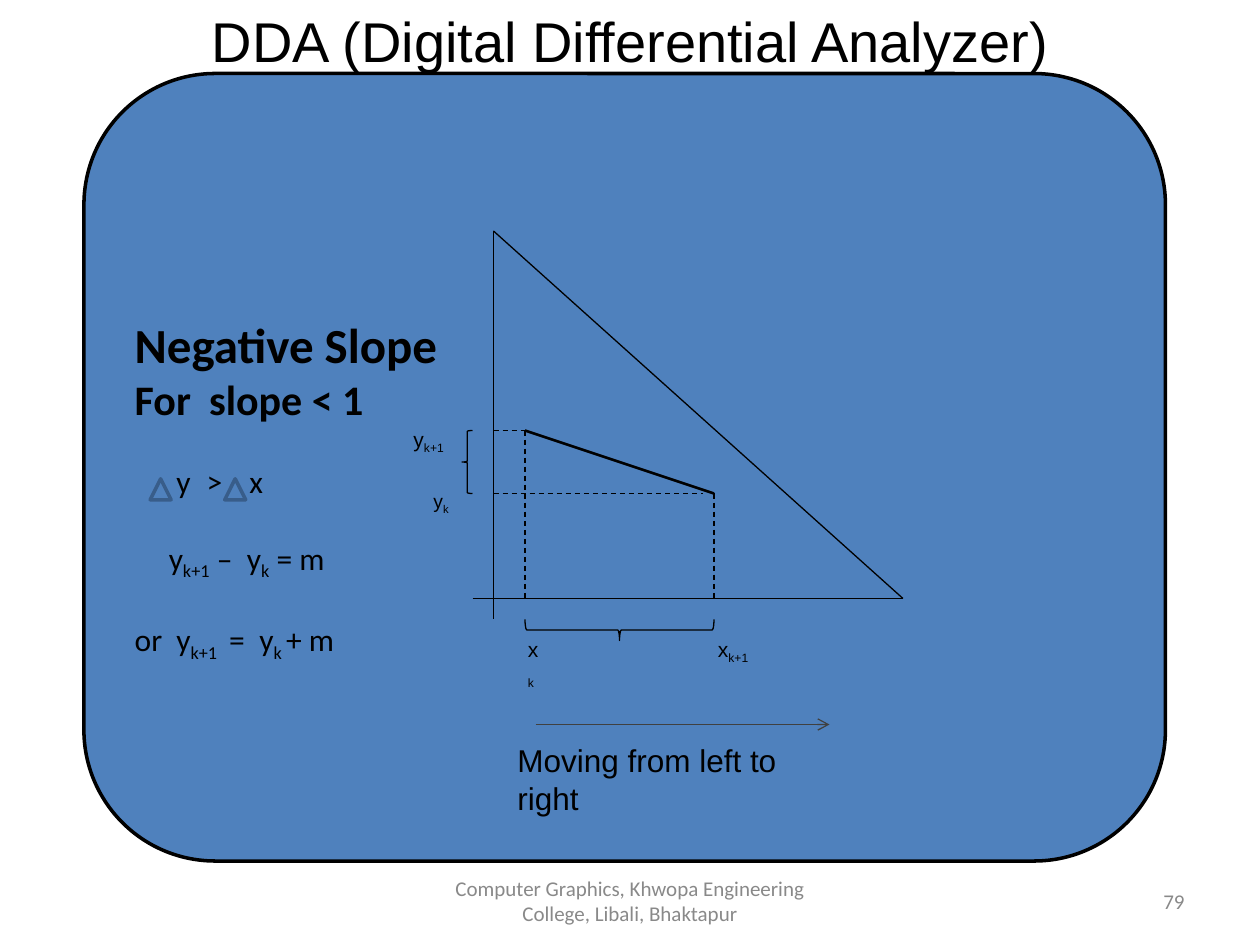
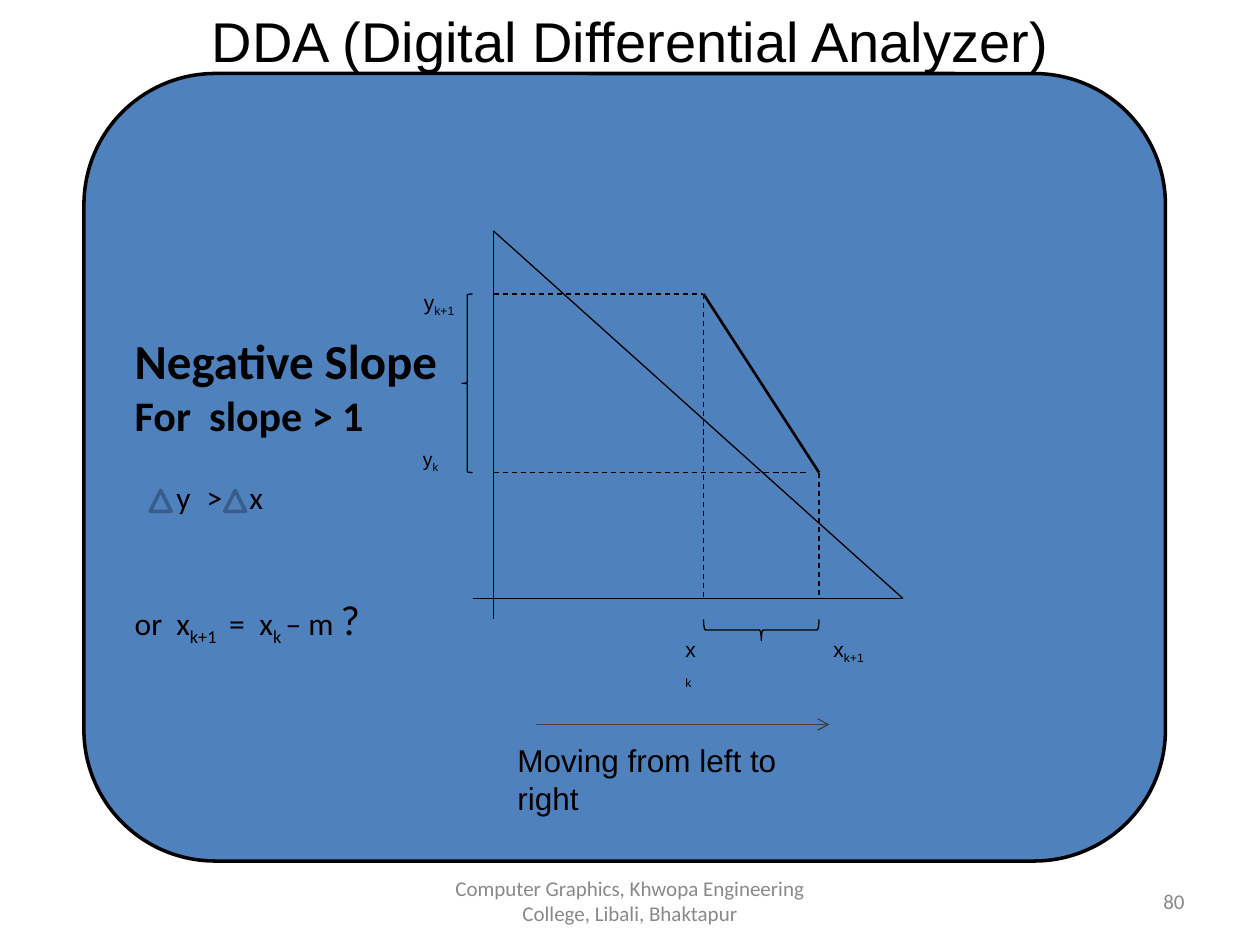
from lxml import etree
from pptx import Presentation
from pptx.dml.color import RGBColor
from pptx.enum.dml import MSO_LINE
from pptx.enum.shapes import MSO_CONNECTOR, MSO_SHAPE
from pptx.enum.text import MSO_ANCHOR, MSO_AUTO_SIZE, PP_ALIGN
from pptx.oxml.ns import qn
from pptx.util import Inches, Pt

COLORS = {"ink": "000000", "panel": "4F81BD", "delta": "385D8A",
          "arrow": "404040", "footer": "898989"}
UNITS_PER_INCH = 12
AXIS_X, AXIS_Y = 47, 57
APEX_Y, BASE_END_X = 22, 86
TITLE = "DDA (Digital Differential Analyzer)"
FOOTER = "Computer Graphics, Khwopa Engineering College, Libali, Bhaktapur"
ORDER_TABS = (0.33, 0.57, 0.91)
DIFFERENCE_TABS = (0.27, 0.89)
RESULT_TABS = (0.33, 0.75, 0.99)


def units(value):
    return Inches(value / UNITS_PER_INCH)


def color(name):
    return RGBColor.from_string(COLORS[name])


class Canvas:
    def __init__(self, deck):
        self.deck = deck
        self.page = None

    def new_page(self):
        self.page = self.deck.slides.add_slide(self.deck.slide_layouts[6])

    def stroke(self, line, ink="ink", width=0.75, dash=None):
        line.color.rgb = color(ink)
        line.width = Pt(width)
        if dash:
            line.dash_style = dash

    def shape(self, kind, place, fill=None, ink="ink", width=2, rotation=0):
        shape = self.page.shapes.add_shape(kind, *map(units, place))
        shape.shadow.inherit = False
        shape.rotation = rotation
        if fill:
            shape.fill.solid()
            shape.fill.fore_color.rgb = color(fill)
        else:
            shape.fill.background()
        self.stroke(shape.line, ink, width)
        return shape

    def line(self, start, end, ink="ink", width=0.75, dash=None, arrow=False):
        line = self.page.shapes.add_connector(
            MSO_CONNECTOR.STRAIGHT, *map(units, (*start, *end)))
        self.stroke(line.line, ink, width, dash)
        if arrow:
            outline = line._element.spPr.find(qn("a:ln"))
            etree.SubElement(outline, qn("a:tailEnd"), type="arrow")
        etree.SubElement(line._element.spPr, qn("a:effectLst"))

    def dashed(self, start, end):
        self.line(start, end, dash=MSO_LINE.DASH)

    def brace(self, center, width, height, rotation):
        place = (center[0] - width / 2, center[1] - height / 2, width, height)
        self.shape(MSO_SHAPE.RIGHT_BRACE, place, width=0.75, rotation=rotation)

    def span(self, para, text, size, font="Calibri", ink="ink", bold=False, sub=False):
        span = para.add_run()
        span.text = text
        for name, value in {"name": font, "size": Pt(size), "bold": bold}.items():
            setattr(span.font, name, value)
        span.font.color.rgb = color(ink)
        if sub:
            span._r.get_or_add_rPr().set("baseline", "-25000")

    def formula(self, para, text, size, **style):
        for index, piece in enumerate(text.split("|")):
            if piece:
                self.span(para, piece, size, sub=index % 2 == 1, **style)

    def label(self, text, place, size, font="Arial"):
        box = self.page.shapes.add_textbox(*map(units, place))
        box.text_frame.word_wrap = False
        box.text_frame.auto_size = MSO_AUTO_SIZE.SHAPE_TO_FIT_TEXT
        self.formula(box.text_frame.paragraphs[0], text, size, font=font)

    def footer(self, text, place, align):
        box = self.page.shapes.add_textbox(*map(units, place))
        for name, value in {"word_wrap": True, "vertical_anchor": MSO_ANCHOR.MIDDLE}.items():
            setattr(box.text_frame, name, value)
        para = box.text_frame.paragraphs[0]
        para.alignment = align
        self.span(para, text, 12, ink="footer")

    def panel(self, lines):
        panel = self.shape(MSO_SHAPE.ROUNDED_RECTANGLE, (8, 7, 103, 75), "panel")
        frame = panel.text_frame
        for name, value in {"word_wrap": True, "vertical_anchor": MSO_ANCHOR.MIDDLE,
                            "margin_top": Inches(0.39)}.items():
            setattr(frame, name, value)
        for index, (text, size, bold, before, tabs, ending) in enumerate(lines):
            para = frame.add_paragraph() if index else frame.paragraphs[0]
            for name, value in {"alignment": PP_ALIGN.LEFT, "space_before": Pt(before)}.items():
                setattr(para, name, value)
            if tabs:
                stops = etree.SubElement(para._p.get_or_add_pPr(), qn("a:tabLst"))
                for stop in tabs:
                    etree.SubElement(stops, qn("a:tab"), pos=str(Inches(stop)), algn="l")
            self.formula(para, text, size, bold=bold)
            if ending:
                self.span(para, ending, 24)

    def graph(self, start, end, labels):
        (x1, y1), (x2, y2) = start, end
        apex, corner = (AXIS_X, APEX_Y), (BASE_END_X, AXIS_Y)
        self.line(apex, (AXIS_X, AXIS_Y + 2))
        self.line((AXIS_X - 2, AXIS_Y), corner)
        self.line(apex, corner)
        self.line(start, end, width=1.5)
        self.dashed(start, (x1, AXIS_Y))
        self.dashed(end, (x2, AXIS_Y))
        self.dashed((AXIS_X, y2), (x2 - 1, y2))
        self.dashed((AXIS_X, y1), start)
        self.brace(((x1 + x2) / 2, AXIS_Y + 3), 2, x2 - x1, 90)
        self.brace((AXIS_X - 2.5, (y1 + y2) / 2), 1, y2 - y1, 180)
        for text, x, y, size in labels:
            width, height = (5.3 if "+" in text else 3.9), size / 3
            self.label(text, (x, y, width, height), size)


def build_slide(canvas, number, lines, delta_row, start, end, labels):
    canvas.new_page()
    canvas.panel(lines)
    canvas.footer(str(number), (86, 83.4, 28, 4.8), PP_ALIGN.RIGHT)
    canvas.footer(FOOTER, (41, 83.4, 38, 4.8), PP_ALIGN.CENTER)
    for column in (14.3, 21.4):
        canvas.shape(MSO_SHAPE.ISOSCELES_TRIANGLE, (column, delta_row, 2, 2), "panel", "delta")
    canvas.graph(start, end, labels)
    canvas.line((51, 69), (79, 69), ink="arrow", arrow=True)
    canvas.label("Moving from left to right", (48.1, 70, 33.7, 4.8), 18)
    canvas.label(TITLE, (19, 0, 82.8, 7.7), 32)


def slope_lines(sign, *formulas):
    return [("Negative Slope", 28, True, 0, None, None),
            (f"For\tslope {sign} 1", 24, True, 0, (0.59,), None),
            ("\ty\t>\tx", 18, False, 22, ORDER_TABS, None),
            *formulas]


def main():
    deck = Presentation()
    deck.slide_width, deck.slide_height = Inches(10), Inches(7.5)
    canvas = Canvas(deck)
    build_slide(
        canvas, 79,
        slope_lines(
            "<",
            ("\ty|k+1| –\ty|k| = m", 18, False, 22, DIFFERENCE_TABS, None),
            ("or\ty|k+1|\t=\ty|k |+ m", 18, False, 22, RESULT_TABS, None)),
        45.6, (50, 41), (68, 47),
        [("y|k+1", 38.2, 40, 12), ("y|k", 40.1, 46, 11),
         ("x|k", 49.1, 60, 12), ("x|k+1", 67.2, 60, 12)])
    build_slide(
        canvas, 80,
        slope_lines(
            ">",
            ("or\tx|k+1|\t=\tx|k |– m ", 18, False, 44, RESULT_TABS, "?")),
        46.7, (67, 28), (78, 45),
        [("y|k+1", 39.2, 27, 12), ("y|k", 39.1, 42, 11),
         ("x|k", 64.1, 60, 12), ("x|k+1", 78.2, 60, 12)])
    deck.save("out.pptx")


if __name__ == "__main__":
    main()
